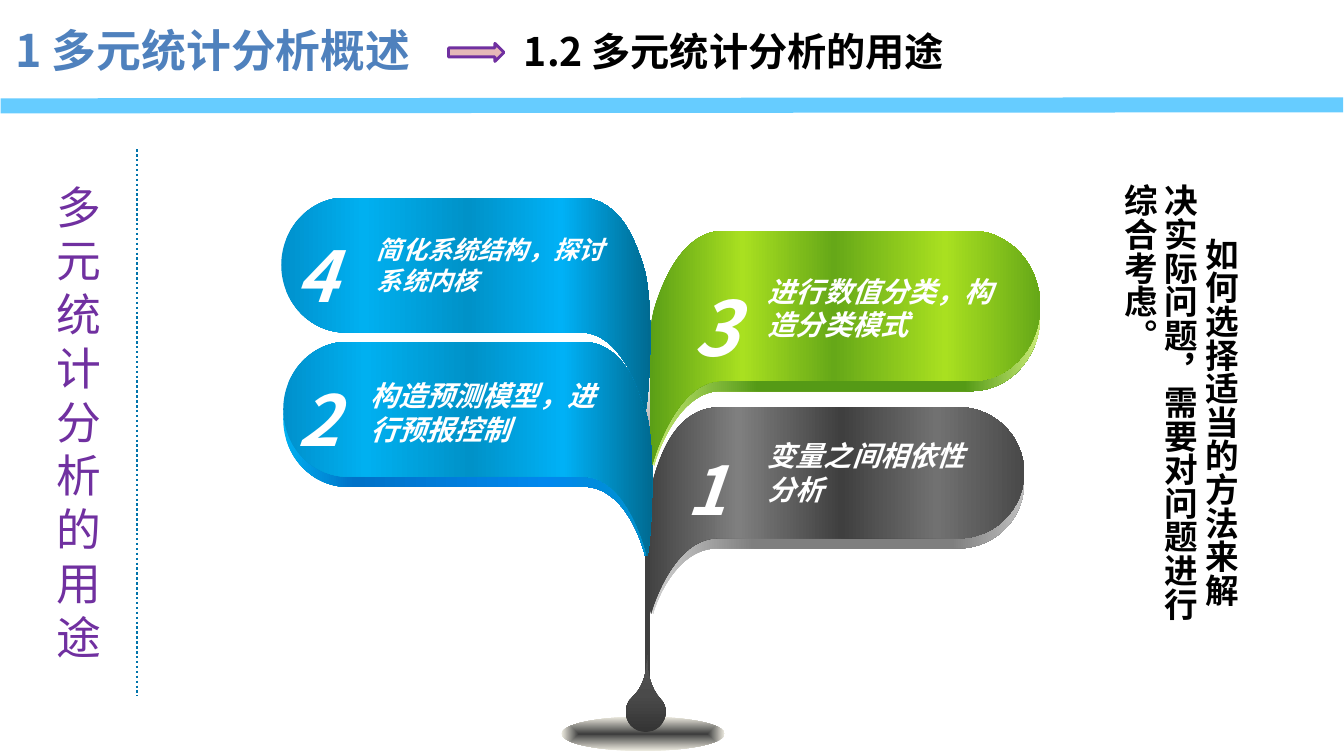
import pptx
import pptx.util
import pptx.dml.color
import pptx.enum.dml
import pptx.enum.shapes
import pptx.enum.text
import pptx.oxml
import pptx.oxml.ns
from lxml import etree

Inches = pptx.util.Inches
qn = pptx.oxml.ns.qn
SHAPES = pptx.enum.shapes.MSO_SHAPE
SANS = "Noto Sans CJK SC"
WHITE = "FFFFFF"

# Content: texts
TITLE = "1 多元统计分析概述"
SUBTITLE = "1.2 多元统计分析的用途"
SIDE_TITLE = "多元统计分析的用途"
REMARK = "如何选择适当的方法来解决实际问题，需要对问题进行综合考虑。"

# Content: gradients, as (position in percent, colour) from left to right
BLUE = [(0, "0090CC"), (22, "00B0F0"), (50, "0092C8"), (75, "00B1F6"), (100, "00668B")]
BLUE_EDGE = [(0, "00B0F0"), (19, "0072C8"), (71, "0088EE"), (100, "0092C8")]
GREEN = [(0, "559A16"), (25, "A9E020"), (48, "66A818"), (76, "A9E020"), (100, "66A818")]
GREEN_EDGE = [(0, "CBEC78"), (29, "559A16"), (81, "559A16"), (100, "CBEC78")]
GREY = [(0, "3F3F3F"), (25, "7F7F7F"), (52, "3F3F3F"), (77, "717171"), (100, "494949")]
GREY_EDGE = [(0, "D8D8D8"), (29, "7F7F7F"), (81, "7F7F7F"), (100, "BFBFBF")]
STEM = [(0, "3F3F3F"), (53, "3F3F3F"), (100, "FFFFFF")]
DROP = [(0, "333333"), (50, "4A4A4A"), (100, "595959")]
GROUND = [(0, "3F3F3F"), (100, "EEECE1")]

# Content: leaves; outline is neck, shoulder, corner, end, top, bottom, tip x, tip y
LEAVES = {
    "3": dict(outline=(6.5, 7.18, 9.64, 10.32, 2.29, 3.78, 6.47, 4.62), colours=GREEN,
              edge=GREEN_EDGE, text="进行数值分类，构造分类模式", box=(7.52, 2.67, 2.59, 0.79),
              size=20, font="Arial", number_box=(6.78, 2.47, 0.87, 1.27), number_size=54),
    "1": dict(outline=(6.5, 7.15, 9.51, 10.16, 4.04, 5.34, 6.46, 6.09), colours=GREY,
              edge=GREY_EDGE, text="变量之间相依性分析", box=(7.52, 4.3, 2.26, 0.79),
              size=20, font="Arial", number_box=(6.71, 4.16, 0.87, 1.14), number_size=48),
    "2": dict(outline=(6.4, 5.76, 3.45, 2.81, 3.39, 4.73, 6.42, 5.52), colours=BLUE,
              edge=BLUE_EDGE, text="构造预测模型，进行预报控制", box=(3.58, 3.71, 2.59, 0.79),
              size=20, font="Calibri", number_box=(2.85, 3.44, 1.13, 1.18), number_size=50),
    "4": dict(outline=(6.38, 5.74, 3.43, 2.79, 1.96, 3.3, 6.4, 4.09), colours=BLUE,
              edge=None, text="简化系统结构，探讨系统内核", box=(3.64, 2.28, 2.59, 0.72),
              size=18, font="Arial", number_box=(2.83, 2.01, 1.13, 1.18), number_size=50),
}
EDGE_DEPTH = 0.1
DROP_CURVES = [
    [(6.19, 7.12), (6.19, 6.99), (6.27, 6.92)], [(6.37, 6.83), (6.42, 6.69), (6.42, 6.5)],
    [(6.42, 6.69), (6.46, 6.83), (6.55, 6.93)], [(6.63, 7.01), (6.62, 7.13), (6.54, 7.21)],
    [(6.46, 7.28), (6.34, 7.28), (6.26, 7.2)]]

presentation = pptx.Presentation()
presentation.slide_width, presentation.slide_height = Inches(40 / 3), Inches(7.5)
slide = presentation.slides.add_slide(presentation.slide_layouts[5])


def rgb(value):
    return pptx.dml.color.RGBColor.from_string(value)


def place(box):
    return [Inches(length) for length in box]


def write(text, box, size, color, font=SANS, bold=True, italic=False, align="LEFT",
          spacing=None, shape=None):
    if shape is None:
        shape = slide.shapes.add_textbox(*place(box))
    shape.left, shape.top, shape.width, shape.height = place(box)
    frame = shape.text_frame
    frame.word_wrap = True
    frame.auto_size = pptx.enum.text.MSO_AUTO_SIZE.SHAPE_TO_FIT_TEXT
    frame.vertical_anchor = pptx.enum.text.MSO_ANCHOR.TOP
    paragraph = frame.paragraphs[0]
    paragraph.alignment = getattr(pptx.enum.text.PP_ALIGN, align)
    paragraph.line_spacing = spacing
    run = paragraph.add_run()
    run.text = text
    run.font.size = pptx.util.Pt(size)
    run.font.bold, run.font.italic = bold, italic
    run.font.color.rgb = rgb(color)
    run.font.name = font
    etree.SubElement(run.font._element, qn("a:ea")).set("typeface", font)
    return shape


def fill_gradient(shape, stops, angle=None):
    """Linear at a clockwise angle, or from the centre outwards without one."""
    shape.shadow.inherit = False
    shape.line.fill.background()
    shape.fill.background()
    stop_xml = "".join(f'<a:gs pos="{position * 1000}"><a:srgbClr val="{color}"/></a:gs>'
                       for position, color in stops)
    direction = ('<a:path path="shape"><a:fillToRect l="50000" t="50000" r="50000" b="50000"/>'
                 '</a:path>' if angle is None else f'<a:lin ang="{angle * 60000}" scaled="0"/>')
    gradient = pptx.oxml.parse_xml(
        f'<a:gradFill rotWithShape="1" {pptx.oxml.ns.nsdecls("a")}>'
        f'<a:gsLst>{stop_xml}</a:gsLst>{direction}</a:gradFill>')
    properties = shape._element.spPr
    properties.replace(properties.find(qn("a:noFill")), gradient)


def add_outline(start, segments, stops, angle=0):
    """Each segment is one point (straight) or three (cubic curve)."""
    builder = slide.shapes.build_freeform(*place(start))
    builder.add_line_segments([place(point) for segment in segments for point in segment],
                              close=True)
    shape = builder.convert_to_shape()
    lines = iter(list(shape._element.iter(qn("a:lnTo"))))
    for segment in segments:
        parts = [next(lines) for _ in segment]
        if len(parts) == 3:
            curve = etree.Element(qn("a:cubicBezTo"))
            parts[0].addprevious(curve)
            for part in parts:
                curve.append(part[0])
                part.getparent().remove(part)
    fill_gradient(shape, stops, angle)


def add_leaf(outline, stops, depth=0):
    neck, shoulder, corner, end, top, bottom, tip_x, tip_y = outline
    side = 1 if end > neck else -1
    top, bottom = top + depth, bottom + depth
    tip_x += side * depth / 5
    middle, radius = (top + bottom) / 2, (bottom - top) / 2
    bulge_x, bulge_y = corner + 0.55 * (end - corner), 0.55 * radius
    add_outline((neck, middle), [
        [(neck + side * 0.11, middle - 0.35), (shoulder - side * 0.36, top), (shoulder, top)],
        [(corner, top)],
        [(bulge_x, top), (end, middle - bulge_y), (end, middle)],
        [(end, middle + bulge_y), (bulge_x, bottom), (corner, bottom)],
        [(shoulder, bottom)],
        [(shoulder - side * 0.47, bottom - 0.03), (tip_x, tip_y - 0.02), (tip_x, tip_y)],
        [(tip_x - side * 0.04, tip_y - 0.12), (neck - side * 0.12, middle + 0.36),
         (neck, middle)],
    ], stops)


def add_line(start, end, color, width, dash=None):
    line = slide.shapes.add_connector(pptx.enum.shapes.MSO_CONNECTOR.STRAIGHT,
                                      *place(start), *place(end))
    line.line.color.rgb = rgb(color)
    line.line.width = pptx.util.Pt(width)
    line.line.dash_style = dash
    etree.SubElement(line._element.spPr, qn("a:effectLst"))
    return line


# Header
write(SUBTITLE, (5.1, 0.22, 4.74, 0.6), 28, "000000")
header_rule = add_line((0.08, 1.05), (13.25, 1.04), "66CCFF", 10.75)
header_rule.line._get_or_add_ln().set("cap", "sq")
arrow = slide.shapes.add_shape(SHAPES.RIGHT_ARROW, *place((4.45, 0.43, 0.55, 0.18)))
arrow.shadow.inherit = False
arrow.fill.solid()
arrow.fill.fore_color.rgb = rgb("E6B9B8")
arrow.line.color.rgb = rgb("7030A0")
arrow.line.width = pptx.util.Pt(2)
write(TITLE, (0.05, 0.18, 6.09, 0.67), 32, "4F81BD", shape=slide.shapes.title)

# Side title, one character a line
write(SIDE_TITLE, (0.34, 1.73, 0.88, 4.94), 32, "7030A0", bold=False, align="CENTER")
add_line((1.36, 1.48), (1.36, 6.9), "0174AB", 1.75, pptx.enum.dml.MSO_LINE.ROUND_DOT)

# Plant: ground, then leaves; the stem and drop belong to leaf 1
ground = slide.shapes.add_shape(SHAPES.OVAL, *place((5.57, 7.11, 1.62, 0.34)))
fill_gradient(ground, GROUND)
for number, leaf in LEAVES.items():
    if leaf["edge"]:
        add_leaf(leaf["outline"], leaf["edge"], EDGE_DEPTH)
    add_leaf(leaf["outline"], leaf["colours"])
    if number == "1":
        stem = slide.shapes.add_shape(SHAPES.RECTANGLE, *place((6.4, 3.63, 0.05, 3.15)))
        fill_gradient(stem, STEM, 270)
        add_outline((6.26, 7.2), DROP_CURVES, DROP, 270)
    write(leaf["text"], leaf["box"], leaf["size"], WHITE, font=leaf["font"], italic=True)
    write(number, leaf["number_box"], leaf["number_size"], WHITE, italic=True, spacing=1.3)

# Vertical remark with an indented first column
remark = write(REMARK, (10.96, 1.73, 1.4, 4.72), 24, "000000", font="Noto Sans CJK JP")
remark.text_frame._txBody.bodyPr.set("vert", "eaVert")
remark_format = remark.text_frame.paragraphs[0]._p.get_or_add_pPr()
remark_format.set("marL", "0")
remark_format.set("indent", str(Inches(0.53)))

presentation.save("out.pptx")
